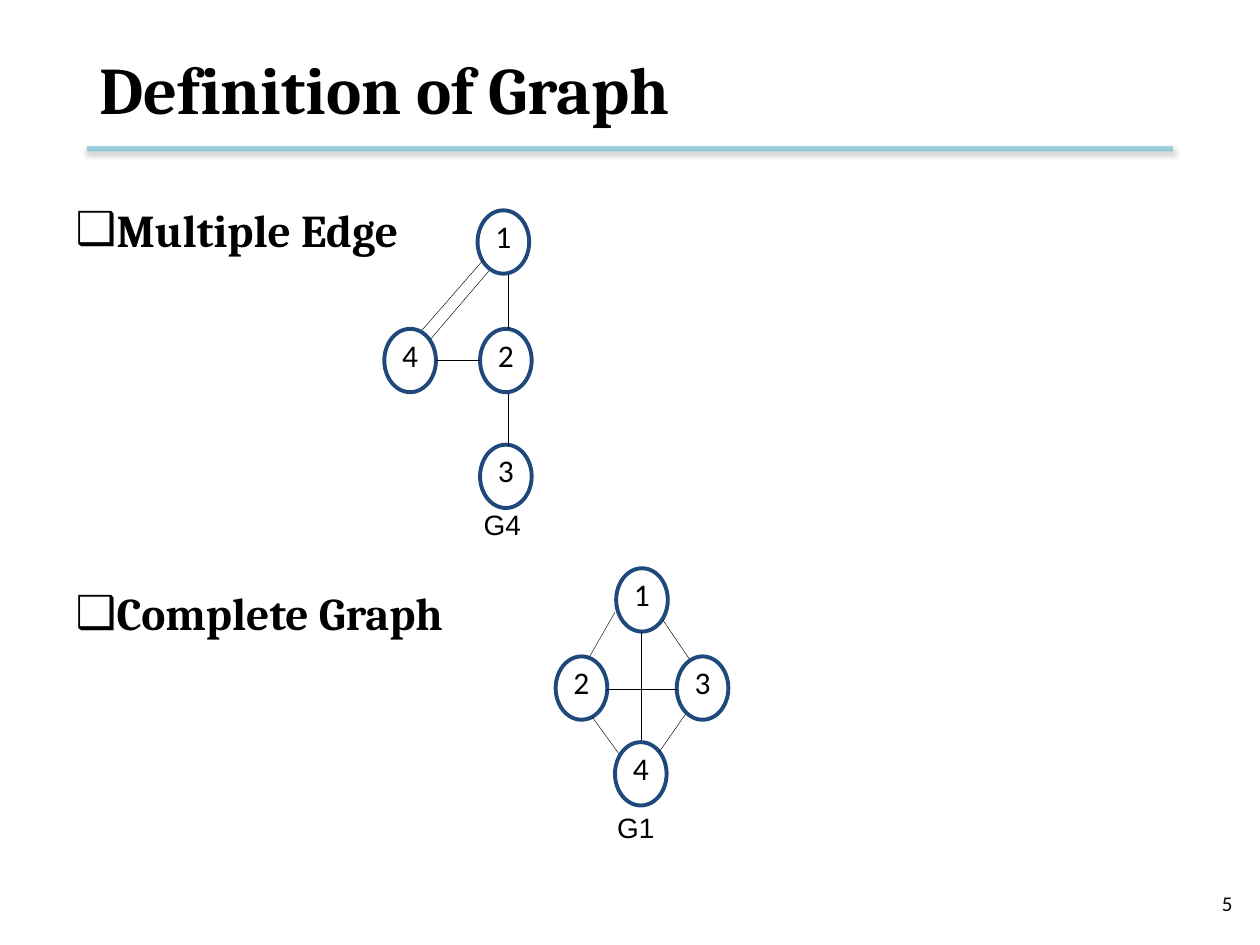
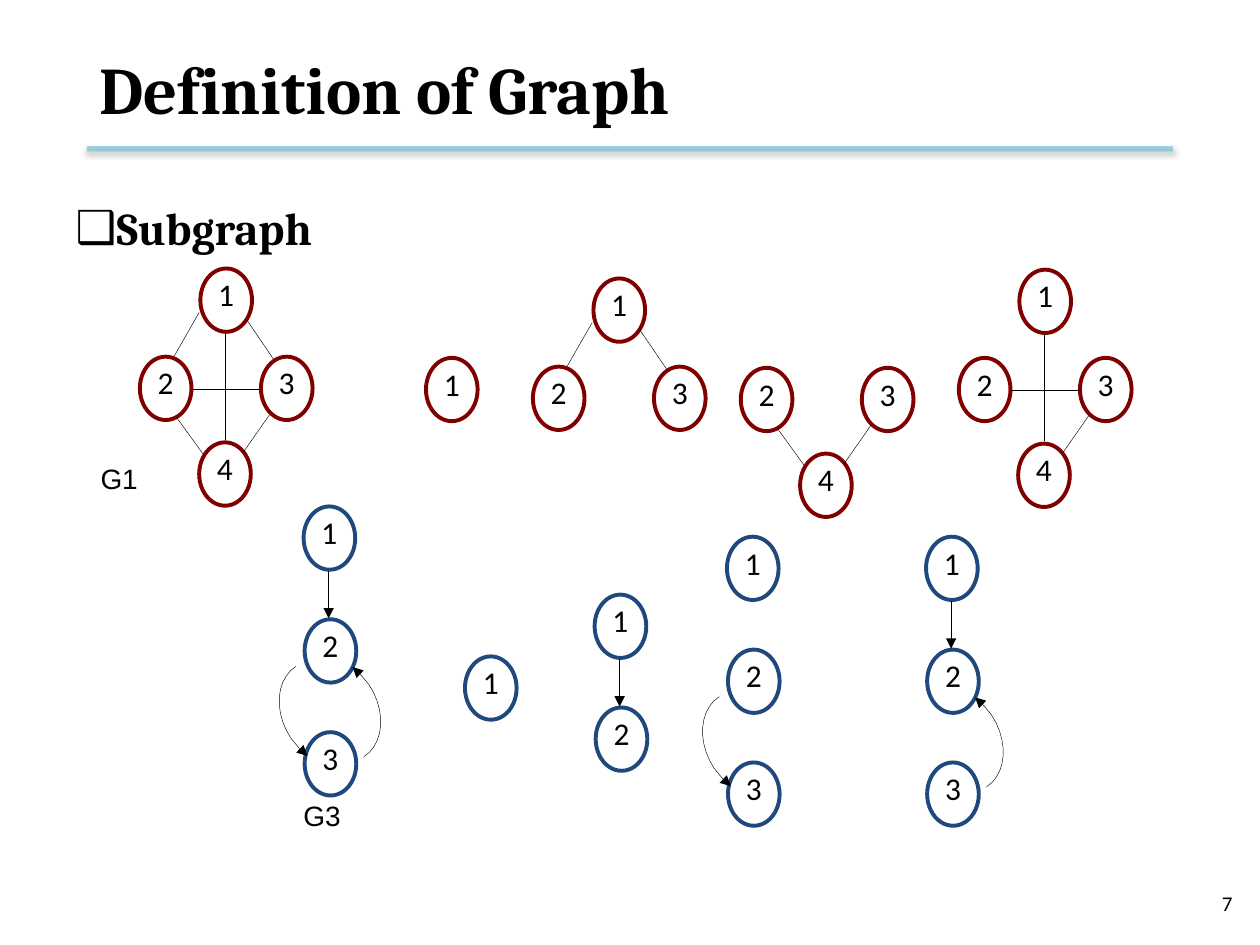
from dataclasses import dataclass

from lxml.etree import SubElement
from pptx import Presentation
from pptx.dml.color import RGBColor
from pptx.enum.shapes import MSO_CONNECTOR, MSO_SHAPE
from pptx.enum.text import MSO_ANCHOR, MSO_AUTO_SIZE, PP_ALIGN
from pptx.oxml.ns import qn
from pptx.util import Pt

BLACK, BLUE, MAROON, TEAL = "000000", "1F497D", "800000", "4BACC6"
NODE_W, NODE_H = 29.5, 36.2
CURVE_STEPS = 10

Point = tuple[float, float]


@dataclass(frozen=True)
class Pattern:
    nodes: dict[str, Point]
    edges: dict[str, tuple[Point, ...]]
    directed: bool = False
    rotation: float = 0


@dataclass(frozen=True)
class Graph:
    pattern: Pattern
    origin: Point
    color: str
    nodes: str
    edges: str = ""


@dataclass(frozen=True)
class Label:
    text: str
    x: float
    y: float


@dataclass(frozen=True)
class Page:
    number: str
    body_top: float
    topics: tuple[str, ...]
    graphs: tuple[Graph, ...]
    labels: tuple[Label, ...]


MULTI_EDGE = Pattern(
    {"1": (0, 0), "4": (-53.3, 67.7), "2": (1.4, 67.7), "3": (1.4, 133.9)},
    {
        "12": ((17.3, 36.7), (17.3, 67.7)),
        "23": ((17.3, 105.1), (17.3, 134.6)),
        "42": ((-23.8, 85.7), (1.4, 85.7)),
        "14": ((2.9, 28.8), (-31.7, 68.4)),
        "41": ((6.5, 34.6), (-26.6, 73.4)),
    },
)
DIAMOND = Pattern(
    {"1": (0, 0), "2": (-34.6, 50.4), "3": (34.6, 50.4), "4": (-0.7, 99.4)},
    {
        "12": ((-15.1, 50.4), (-0.7, 25.2)),
        "13": ((26.6, 29.5), (41.8, 51.8)),
        "14": ((14.4, 36.5), (14.4, 97.9)),
        "23": ((-5, 69.1), (34.6, 69.1)),
        "24": ((-13.7, 85), (1.4, 105.8)),
        "34": ((24.5, 105.1), (39.6, 83.5)),
    },
)
DOWN_CURVE = ((-4.3, 91.4), (-15.8, 98.6), (-17.3, 117.4), (-7.2, 132.5),
              (-4.3, 136.1), (-1.4, 139.7), (2.2, 142.6))
CHAIN = Pattern(
    {"1": (0, 0), "2": (0.6, 64.5), "3": (0.6, 129)},
    {
        "12": ((14.3, 36.7), (14.3, 64)),
        "23": DOWN_CURVE,
        "32": tuple((30.2 - x, 234.4 - y) for x, y in DOWN_CURVE),
    },
    directed=True,
    rotation=359.5,
)

PAGES = (
    Page("5", 111.6, ("Multiple Edge", "Complete Graph"), (
        Graph(MULTI_EDGE, (272.9, 120.2), BLUE, "1423", "12 23 42 14 41"),
        Graph(DIAMOND, (352.1, 324.7), BLUE, "1234", "12 13 14 23 24 34"),
    ), (Label("G4", 269.3, 286.6), Label("G1", 345.6, 459.4))),
    Page("7", 110.9, ("Subgraph",), (
        Graph(DIAMOND, (114.5, 153.4), MAROON, "1234", "12 13 14 23 24 34"),
        Graph(DIAMOND, (243.4, 204.5), MAROON, "1"),
        Graph(DIAMOND, (339.1, 159.1), MAROON, "123", "12 13"),
        Graph(DIAMOND, (457.9, 159.8), MAROON, "234", "24 34"),
        Graph(DIAMOND, (582.5, 154.1), MAROON, "1234", "14 23 34"),
        Graph(CHAIN, (173.5, 289.4), BLUE, "123", "12 23 32"),
        Graph(CHAIN, (265.7, 375.1), BLUE, "1"),
        Graph(CHAIN, (339.8, 339.8), BLUE, "12", "12"),
        Graph(CHAIN, (415.4, 306.7), BLUE, "123", "23"),
        Graph(CHAIN, (529.2, 306.7), BLUE, "123", "12 32"),
    ), (Label("G1", 50.4, 259.9), Label("G3", 166.3, 452.9))),
)


def rgb(color: str) -> RGBColor:
    return RGBColor.from_string(color)


def place(sp, x: float, y: float, w: float, h: float) -> None:
    sp.left, sp.top, sp.width, sp.height = Pt(x), Pt(y), Pt(w), Pt(h)


def write(p, text: str, *, size: float, font: str, bold: bool = False,
          align=PP_ALIGN.LEFT, before: float = 0, spacing: float = 1.0) -> None:
    p.alignment, p.space_before, p.line_spacing = align, Pt(before), spacing
    r = p.add_run()
    r.text = text
    r.font.name, r.font.size, r.font.bold = font, Pt(size), bold
    r.font.color.rgb = rgb(BLACK)


def style_line(sp, color: str, width: float, arrow: bool = False) -> None:
    sp.line.color.rgb = rgb(color)
    sp.line.width = Pt(width)
    if arrow:
        ln = sp.line._get_or_add_ln()
        SubElement(ln, qn("a:tailEnd"), type="triangle")


def add_straight(s, start: Point, end: Point, color: str, width: float,
                 arrow: bool = False):
    cxn = s.shapes.add_connector(MSO_CONNECTOR.STRAIGHT, *map(Pt, start + end))
    style_line(cxn, color, width, arrow)
    return cxn, SubElement(cxn._element.spPr, qn("a:effectLst"))


def bezier(p0: Point, p1: Point, p2: Point, p3: Point) -> list[Point]:
    def at(t: float) -> Point:
        u = 1 - t
        return tuple(u**3 * a + 3 * u * u * t * b + 3 * u * t * t * c + t**3 * d
                     for a, b, c, d in zip(p0, p1, p2, p3))
    return [at(i / CURVE_STEPS) for i in range(1, CURVE_STEPS + 1)]


def add_curve(s, points: list[Point], arrow: bool) -> None:
    outline = bezier(*points[:4]) + bezier(*points[3:])
    builder = s.shapes.build_freeform(*map(Pt, points[0]))
    builder.add_line_segments([(Pt(x), Pt(y)) for x, y in outline], close=False)
    sp = builder.convert_to_shape()
    sp.shadow.inherit = False
    sp.fill.background()
    style_line(sp, BLACK, 0.25, arrow)


def add_node(s, name: str, x: float, y: float, color: str, rotation: float) -> None:
    sp = s.shapes.add_shape(MSO_SHAPE.OVAL, Pt(x), Pt(y), Pt(NODE_W), Pt(NODE_H))
    sp.rotation = rotation
    sp.shadow.inherit = False
    sp.fill.background()
    style_line(sp, color, 2.25)
    tf = sp.text_frame
    tf.margin_left = tf.margin_right = tf.margin_top = tf.margin_bottom = 0
    tf.vertical_anchor = MSO_ANCHOR.TOP
    write(tf.paragraphs[0], name, size=18, font="Calibri",
          align=PP_ALIGN.CENTER, spacing=0.96)


def add_graph(s, graph: Graph) -> None:
    ox, oy = graph.origin
    pattern = graph.pattern
    for name in graph.nodes:
        x, y = pattern.nodes[name]
        add_node(s, name, ox + x, oy + y, graph.color, pattern.rotation)
    for edge in graph.edges.split():
        points = [(ox + x, oy + y) for x, y in pattern.edges[edge]]
        if len(points) == 2:
            add_straight(s, *points, BLACK, 0.25, pattern.directed)
        else:
            add_curve(s, points, pattern.directed)


def add_text(s, text: str, x: float, y: float, w: float, h: float,
             wrap: bool = True, **fmt) -> None:
    tf = s.shapes.add_textbox(Pt(x), Pt(y), Pt(w), Pt(h)).text_frame
    tf.word_wrap = wrap
    tf.auto_size = MSO_AUTO_SIZE.NONE if wrap else MSO_AUTO_SIZE.SHAPE_TO_FIT_TEXT
    tf.vertical_anchor = MSO_ANCHOR.MIDDLE
    write(tf.paragraphs[0], text, **fmt)


def add_title_rule(s) -> None:
    cxn, effects = add_straight(s, (49.7, 85), (670.3, 85), TEAL, 3)
    line_color = cxn.line._get_or_add_ln().find(qn("a:solidFill"))[0]
    SubElement(line_color, qn("a:alpha"), val="50000")
    shadow = SubElement(effects, qn("a:outerShdw"), blurRad=str(Pt(3.1)),
                        dist=str(Pt(1.6)), dir="5400000", rotWithShape="0")
    shade = SubElement(shadow, qn("a:srgbClr"), val=BLACK)
    SubElement(shade, qn("a:alpha"), val="38000")


def fill_topics(body, topics: tuple[str, ...]) -> None:
    tf = body.text_frame
    tf.auto_size = MSO_AUTO_SIZE.NONE
    for i, topic in enumerate(topics):
        p = tf.add_paragraph() if i else tf.paragraphs[0]
        pPr = p._p.get_or_add_pPr()
        pPr.set("marL", str(Pt(18)))
        pPr.set("indent", str(Pt(-32.4)))
        SubElement(pPr, qn("a:buFont"), typeface="Arial")
        SubElement(pPr, qn("a:buChar"), char="❑")
        write(p, topic, size=26, font="Cambria", bold=True, before=188 if i else 0)


def add_page(prs, page: Page) -> None:
    s = prs.slides.add_slide(prs.slide_layouts[1])
    title, body = s.shapes.title, s.placeholders[1]
    place(title, 49.7, 12.2, 620.6, 76.3)
    title.text_frame.auto_size = MSO_AUTO_SIZE.NONE
    title.text_frame.vertical_anchor = MSO_ANCHOR.MIDDLE
    write(title.text_frame.paragraphs[0], "Definition of Graph",
          size=38, font="Cambria", bold=True)
    place(body, 36, page.body_top, 648, 356.4)
    fill_topics(body, page.topics)
    add_title_rule(s)
    add_text(s, page.number, 543.6, 501.8, 167.8, 28.8,
             size=12, font="Calibri", align=PP_ALIGN.RIGHT)
    for graph in page.graphs:
        add_graph(s, graph)
    for label in page.labels:
        add_text(s, label.text, label.x, label.y, 40.3, 26.6, wrap=False,
                 size=16, font="Arial")


def main() -> None:
    prs = Presentation()
    prs.slide_width, prs.slide_height = Pt(720), Pt(540)
    for page in PAGES:
        add_page(prs, page)
    prs.save("out.pptx")


if __name__ == "__main__":
    main()
